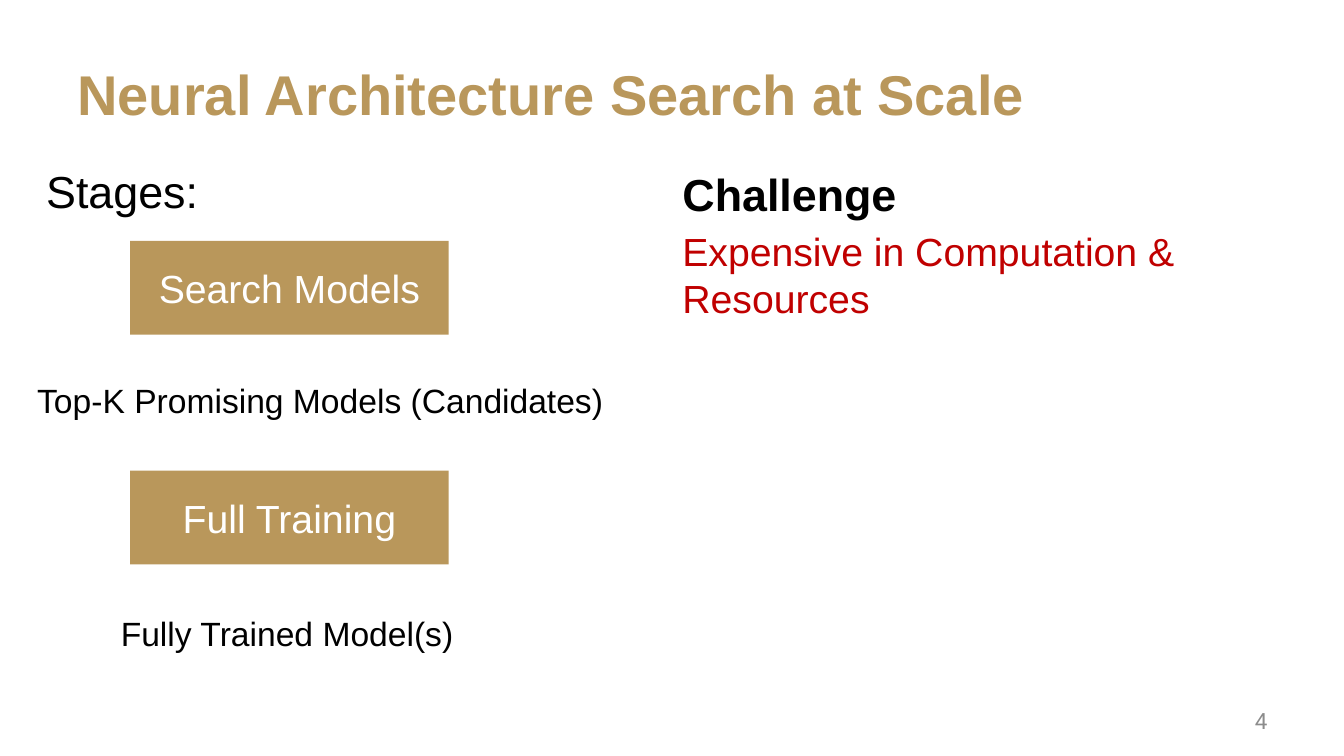
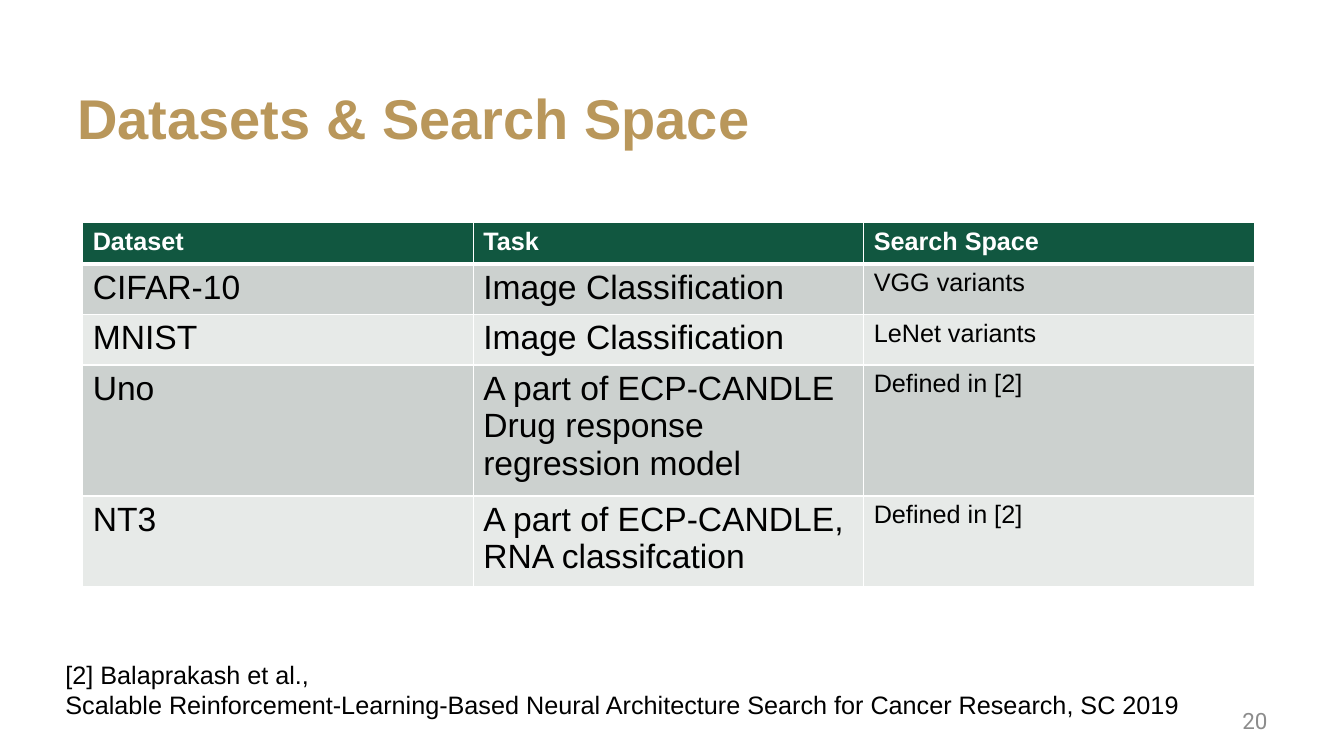
from dataclasses import dataclass

from lxml.etree import SubElement
from pptx import Presentation
from pptx.dml.color import RGBColor
from pptx.enum.shapes import MSO_SHAPE
from pptx.enum.text import MSO_ANCHOR, MSO_AUTO_SIZE, PP_ALIGN
from pptx.oxml.ns import qn
from pptx.slide import Slide
from pptx.table import _Cell
from pptx.text.text import TextFrame
from pptx.util import Inches, Pt

GOLD, GREEN, RED, GREY = "B9975B", "115740", "C00000", "8C8C8C"
BLACK, WHITE = "000000", "FFFFFF"
BANDS = ("CCD1CF", "E7EAE8")


@dataclass(frozen=True)
class Style:
    size: float
    color: str = BLACK
    bold: bool = False
    font: str = "Arial"
    align: PP_ALIGN = PP_ALIGN.LEFT
    anchor: MSO_ANCHOR = MSO_ANCHOR.TOP


@dataclass(frozen=True)
class Label:
    text: str
    left: float
    top: float
    width: float
    height: float
    style: Style
    wrap: bool = False


@dataclass(frozen=True)
class Stage:
    name: str
    top: float


TITLE = Style(40, GOLD, bold=True, anchor=MSO_ANCHOR.MIDDLE)
NUMBER = Style(16, GREY, font="Roboto", align=PP_ALIGN.RIGHT, anchor=MSO_ANCHOR.MIDDLE)
STAGE = Style(28, WHITE, align=PP_ALIGN.CENTER, anchor=MSO_ANCHOR.MIDDLE)
HEADING = Style(32)
RESULT = Style(24)
SMALL = Style(18)
HEADER = Style(18, WHITE, bold=True)

STAGES = (Stage("Search Models", 2.39), Stage("Full Training", 4.67))
STAGE_LABELS = (
    Label("Stages:", 0.36, 1.58, 1.85, 0.64, HEADING),
    Label("Top-K Promising Models (Candidates)", 0.27, 3.72, 5.88, 0.5, RESULT),
    Label("Fully Trained Model(s)", 1.1, 6.03, 3.54, 0.5, RESULT),
)
CHALLENGE_LABELS = (
    Label("Challenge", 6.67, 1.6, 2.34, 0.64, Style(32, bold=True)),
    Label("Expensive in Computation & Resources", 6.67, 2.21, 6.5, 1.04, Style(28, RED), wrap=True),
)
DATASETS = (
    ("Dataset", "Task", "Search Space"),
    ("CIFAR-10", "Image Classification", "VGG variants"),
    ("MNIST", "Image Classification", "LeNet variants"),
    ("Uno", "A part of ECP-CANDLE\nDrug response regression model", "Defined in [2]"),
    ("NT3", "A part of ECP-CANDLE, RNA classifcation", "Defined in [2]"),
)
REFERENCE = Label(
    "[2] Balaprakash et al.,\n"
    "Scalable Reinforcement-Learning-Based Neural Architecture Search for Cancer Research, SC 2019",
    0.55, 6.49, 11.35, 0.71, SMALL,
)


def rgb(color: str) -> RGBColor:
    return RGBColor.from_string(color)


def write(frame: TextFrame, text: str, style: Style) -> None:
    formats = {"name": style.font, "size": Pt(style.size), "bold": style.bold}
    for index, line in enumerate(text.split("\n")):
        para = frame.add_paragraph() if index else frame.paragraphs[0]
        para.alignment = style.align
        span = para.add_run()
        span.text = line
        for name, value in formats.items():
            setattr(span.font, name, value)
        span.font.color.rgb = rgb(style.color)


def add_label(shapes, label: Label) -> None:
    place = map(Inches, (label.left, label.top, label.width, label.height))
    frame = shapes.add_textbox(*place).text_frame
    formats = {
        "word_wrap": label.wrap,
        "auto_size": MSO_AUTO_SIZE.NONE if label.wrap else MSO_AUTO_SIZE.SHAPE_TO_FIT_TEXT,
        "vertical_anchor": label.style.anchor,
    }
    for name, value in formats.items():
        setattr(frame, name, value)
    write(frame, label.text, label.style)


def add_stage(page: Slide, stage: Stage) -> None:
    place = map(Inches, (1.29, stage.top, 3.16, 0.93))
    box = page.shapes.add_shape(MSO_SHAPE.RECTANGLE, *place)
    box.shadow.inherit = False
    box.fill.solid()
    box.fill.fore_color.rgb = rgb(GOLD)
    box.line.fill.background()
    box.text_frame.word_wrap = True
    box.text_frame.vertical_anchor = STAGE.anchor
    write(box.text_frame, stage.name, STAGE)


def add_border(cell: _Cell, side: str, points: float) -> None:
    properties = cell._tc.get_or_add_tcPr()
    line = SubElement(properties, qn(f"a:ln{side}"), w=str(int(Pt(points))))
    fill = SubElement(line, qn("a:solidFill"))
    SubElement(fill, qn("a:srgbClr"), val=WHITE)


def add_dataset_table(page: Slide) -> None:
    row_count, column_count = len(DATASETS), len(DATASETS[0])
    row_height = 0.41
    place = map(Inches, (0.82, 2.21, 11.62, row_height * row_count))
    table = page.shapes.add_table(row_count, column_count, *place).table
    for row, values in enumerate(DATASETS):
        for column, text in enumerate(values):
            cell = table.cell(row, column)
            for side in "LRTB":
                heavy = (row, side) in ((0, "B"), (1, "T"))
                add_border(cell, side, 3 if heavy else 1)
            cell.fill.solid()
            cell.fill.fore_color.rgb = rgb(BANDS[(row - 1) % 2] if row else GREEN)
            body = SMALL if column == column_count - 1 else RESULT
            write(cell.text_frame, text, body if row else HEADER)


def add_page(deck, title: str, title_top: float, number: int) -> Slide:
    page = deck.slides.add_slide(deck.slide_layouts[6])
    add_label(page.shapes, Label(title, 0.67, title_top, 12, 1.25, TITLE, wrap=True))
    add_label(page.shapes, Label(str(number), 9.56, 6.95, 3.11, 0.4, NUMBER, wrap=True))
    return page


def add_stages_page(deck) -> None:
    page = add_page(deck, "Neural Architecture Search at Scale", 0.3, 4)
    for stage in STAGES:
        add_stage(page, stage)
    for label in STAGE_LABELS:
        add_label(page.shapes, label)
    challenge = page.shapes.add_group_shape()
    for label in CHALLENGE_LABELS:
        add_label(challenge.shapes, label)


def add_datasets_page(deck) -> None:
    page = add_page(deck, "Datasets & Search Space", 0.54, 20)
    add_dataset_table(page)
    add_label(page.shapes, REFERENCE)


def main() -> None:
    deck = Presentation()
    deck.slide_width, deck.slide_height = Inches(13.33), Inches(7.5)
    add_stages_page(deck)
    add_datasets_page(deck)
    deck.save("out.pptx")


if __name__ == "__main__":
    main()
